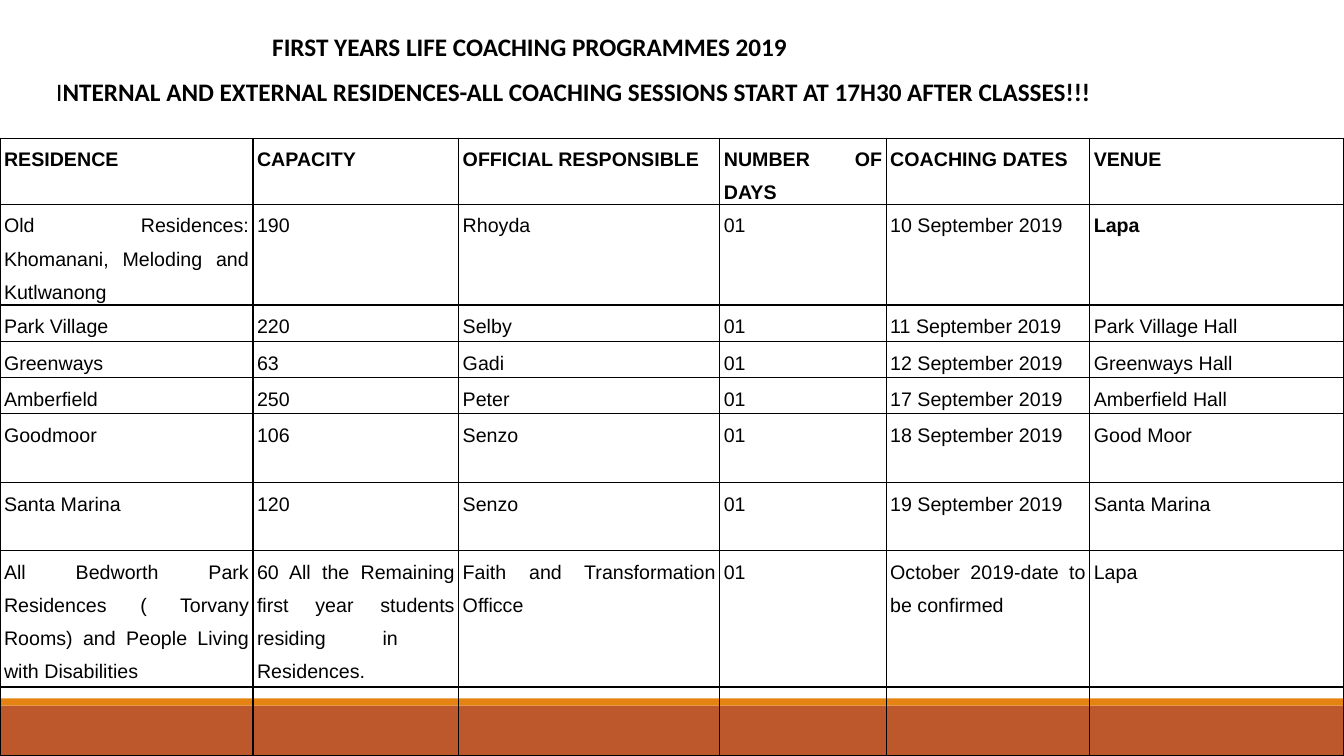
from lxml.etree import SubElement
from pptx import Presentation
from pptx.dml.color import RGBColor
from pptx.enum.shapes import MSO_SHAPE as Kind
from pptx.enum.text import MSO_ANCHOR as Anchor, MSO_AUTO_SIZE as Fit, PP_ALIGN as Align
from pptx.oxml.ns import qn
from pptx.util import Inches, Pt

WIDE, HIGH = 13.33, 7.5
TITLE = "FIRST YEARS LIFE COACHING PROGRAMMES 2019"
LEAD = "I"
NOTICE = "NTERNAL AND EXTERNAL RESIDENCES-ALL COACHING SESSIONS START AT 17H30 AFTER CLASSES!!!"
HEAD = ("RESIDENCE", "CAPACITY", "OFFICIAL RESPONSIBLE", "NUMBER OF DAYS", "COACHING DATES", "VENUE")
SESSIONS = [
    ("Old Residences: Khomanani, Meloding and Kutlwanong", "190", "Rhoyda", "01",
     "10 September 2019", "Lapa"),
    ("Park Village", "220", "Selby", "01", "11 September 2019", "Park Village Hall"),
    ("Greenways", "63", "Gadi", "01", "12 September 2019", "Greenways Hall"),
    ("Amberfield", "250", "Peter", "01", "17 September 2019", "Amberfield Hall"),
    ("Goodmoor", "106", "Senzo", "01", "18 September 2019", "Good Moor"),
    ("Santa Marina", "120", "Senzo", "01", "19 September 2019", "Santa Marina"),
    ("All Bedworth Park Residences ( Torvany Rooms) and People Living with Disabilities",
     "60 All the Remaining first year students residing in  Residences.",
     "Faith and Transformation Officce", "01", "October 2019-date to be confirmed", "Lapa"),
]
ROWS = [HEAD, *SESSIONS, ("",) * len(HEAD)]
COLS = (2.51, 2.04, 2.59, 1.65, 2.02, 2.52)
TALL = (0.65, 1, 0.36, 0.36, 0.36, 0.68, 0.68, 1.35, 0.68)
BOLD = {(0, col) for col in range(len(HEAD))} | {(1, 5)}
BARS = [(7, 0.5, "BD582C"), (6.93, 0.07, "E48312")]
INK = "000000"


def paint(color, hue):
    color.rgb = RGBColor.from_string(hue)


def write(par, text, size=18, font="Calibri", bold=True, hue=INK):
    run = par.add_run()
    run.text = text
    run.font.size, run.font.name, run.font.bold = Pt(size), font, bold
    paint(run.font.color, hue)


def place(shape, *box):
    shape.left, shape.top, shape.width, shape.height = map(Inches, box)


def rule(cell, hue=INK, width=1):
    """Draw a line on all four sides of a cell."""
    props = cell._tc.get_or_add_tcPr()
    for side in "LRTB":
        line = SubElement(props, qn(f"a:ln{side}"), w=str(Pt(width)))
        SubElement(SubElement(line, qn("a:solidFill")), qn("a:srgbClr"), val=hue)


def fill(cell, text, bold):
    rule(cell)
    cell.fill.background()
    cell.margin_left = cell.margin_right = Inches(0.04)
    cell.margin_top = cell.margin_bottom = 0
    if text:
        par = cell.text_frame.paragraphs[0]
        par.alignment, par.line_spacing, par.space_before = Align.JUSTIFY, 1.5, Pt(6)
        write(par, text, size=14, font="Arial", bold=bold)


def main():
    deck = Presentation()
    deck.slide_width, deck.slide_height = Inches(WIDE), Inches(HIGH)
    slide = deck.slides.add_slide(deck.slide_layouts[5])
    shapes = slide.shapes

    for top, high, hue in BARS:
        bar = shapes.add_shape(Kind.RECTANGLE, 0, Inches(top), Inches(WIDE), Inches(high))
        bar.shadow.inherit = False
        bar.fill.solid()
        paint(bar.fill.fore_color, hue)
        bar.line.fill.background()

    title = shapes.title
    place(title, 2.6, 0.26, 6.47, 0.4)
    frame = title.text_frame
    frame.auto_size, frame.vertical_anchor = Fit.NONE, Anchor.TOP
    frame.paragraphs[0].alignment = Align.LEFT
    write(frame.paragraphs[0], TITLE)

    grid = shapes.add_table(len(ROWS), len(COLS), 0, Inches(1.37),
                            Inches(WIDE), Inches(sum(TALL))).table
    grid.first_row = grid.horz_banding = False
    for col, wide in zip(grid.columns, COLS):
        col.width = Inches(wide)
    for row, (texts, high) in enumerate(zip(ROWS, TALL)):
        grid.rows[row].height = Inches(high)
        for col, text in enumerate(texts):
            fill(grid.cell(row, col), text, (row, col) in BOLD)

    notice = shapes.add_textbox(*map(Inches, (0.46, 0.71, 12.87, 0.4)))
    notice.text_frame.word_wrap = True
    par = notice.text_frame.paragraphs[0]
    write(par, LEAD, bold=False)
    write(par, NOTICE)

    deck.save("out.pptx")


if __name__ == "__main__":
    main()
